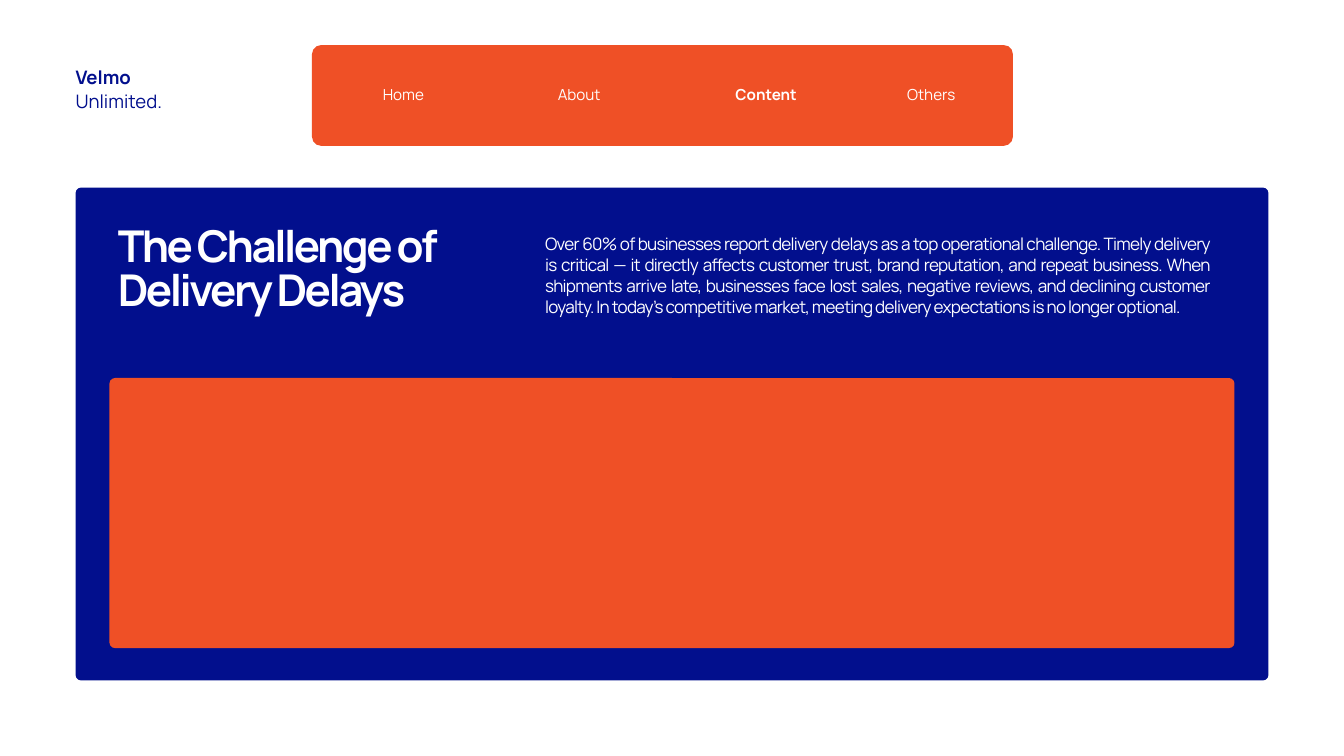
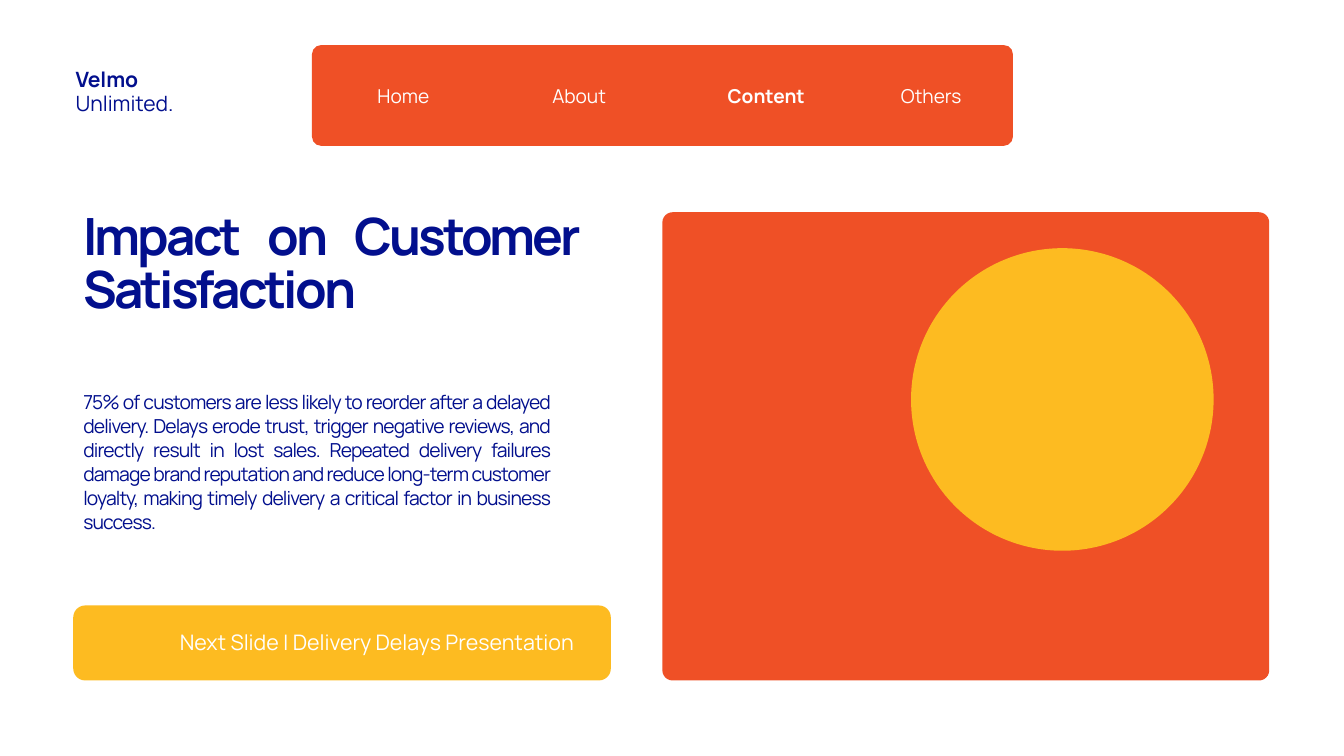
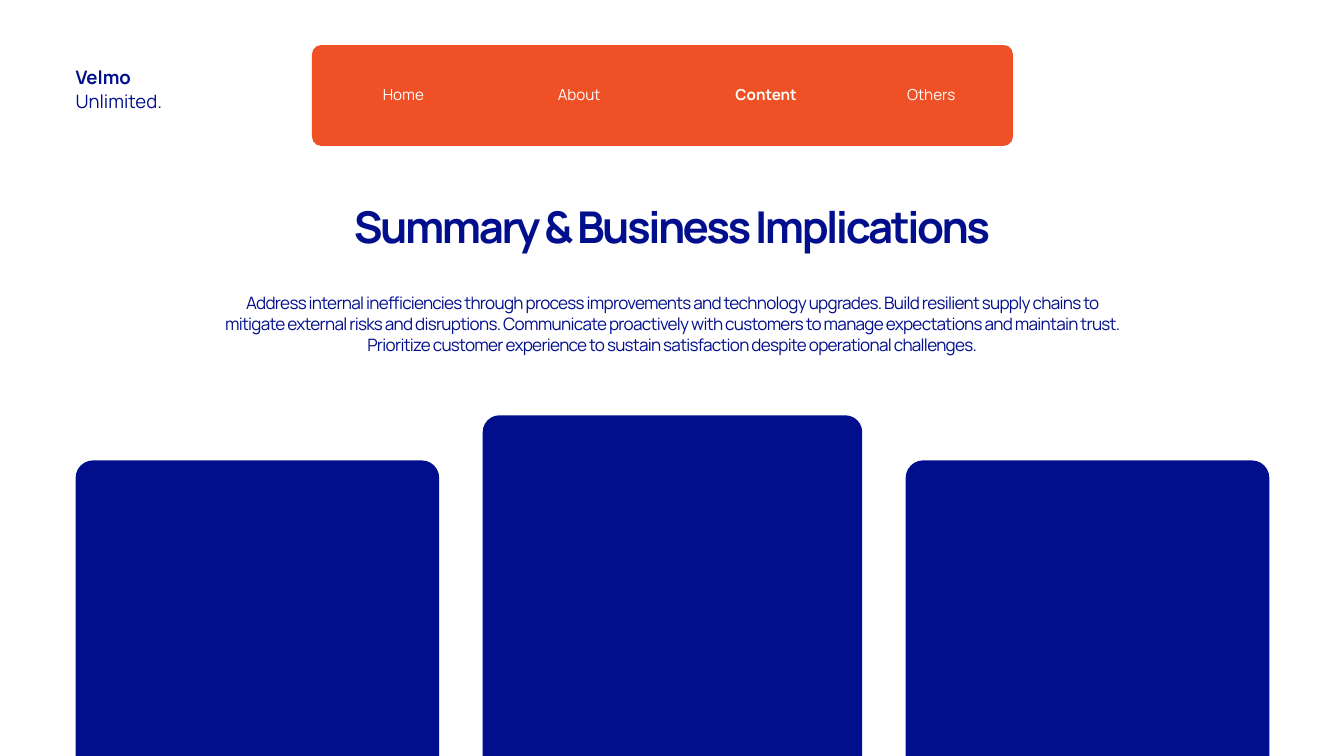
import dataclasses

import pptx
import pptx.dml.color
import pptx.enum.shapes
import pptx.enum.text
import pptx.util

Pt = pptx.util.Pt
Color = pptx.dml.color.RGBColor
Shape = pptx.enum.shapes.MSO_SHAPE
Align = pptx.enum.text.PP_ALIGN

WHITE = Color(0xFF, 0xFF, 0xFF)
NAVY = Color(0x02, 0x0F, 0x8D)
ORANGE = Color(0xEF, 0x50, 0x26)
YELLOW = Color(0xFD, 0xBB, 0x21)

FONT = "Manrope"
LABEL_LEADING = 1.4
TITLE_LEADING = 1.02
BODY_LEADING = 1.24
TIGHT = -0.058
BODY_TIGHT = -0.044
NAV_LABELS = [("Home", 32.4, 131), ("About", 211, 150.5),
              ("Content", 424, 125.3), ("Others", 576, 175)]
CURRENT_LABEL = "Content"


@dataclasses.dataclass
class Box:
    left: float
    top: float
    width: float
    height: float

    def inner(self, left, top, width, height):
        return Box(self.left + left, self.top + top, width, height)

    def lengths(self):
        return [Pt(n) for n in (self.left, self.top, self.width, self.height)]


PAGE = Box(0, 0, 1440, 810)
BRAND = Box(81, 66.8, 139, 54)
NAV = Box(334.3, 48.3, 751, 108)
SMALL_HEADER = dict(nav_size=16.3, nav_top=40, brand_size=19.9)
LARGE_HEADER = dict(nav_size=20.5, nav_top=38.5, brand_size=22.6)


def add_panel(page, box, color, radius=None):
    kind = Shape.OVAL if radius is None else Shape.ROUNDED_RECTANGLE
    panel = page.shapes.add_shape(kind, *box.lengths())
    if radius is not None:
        panel.adjustments[0] = radius / min(box.width, box.height)
    panel.shadow.inherit = False
    panel.fill.solid()
    panel.fill.fore_color.rgb = color
    panel.line.fill.background()


def add_text(page, box, words, size, color, align=Align.LEFT, bold=False,
             leading=LABEL_LEADING, tracking=0):
    frame = page.shapes.add_textbox(*box.lengths()).text_frame
    frame.word_wrap = True
    frame.auto_size = pptx.enum.text.MSO_AUTO_SIZE.SHAPE_TO_FIT_TEXT
    frame.margin_left = frame.margin_right = 0
    frame.margin_top = frame.margin_bottom = 0
    para = frame.paragraphs[0]
    para.alignment = align
    para.line_spacing = Pt(round(size * leading, 1))
    span = para.add_run()
    span.text = words
    span.font.name = FONT
    span.font.size = Pt(size)
    span.font.bold = bold
    span.font.color.rgb = color
    if tracking:
        span.font._element.set("spc", str(round(size * tracking, 1) * 100).split(".")[0])


def add_title(page, box, words, size, color, align):
    add_text(page, box, words, size, color, align, True, TITLE_LEADING, TIGHT)


def add_body(page, box, words, size, color, align):
    add_text(page, box, words, size, color, align, False, BODY_LEADING, BODY_TIGHT)


def add_nav(page, box, size, top):
    add_panel(page, box, ORANGE, 9.8)
    for label, left, width in NAV_LABELS:
        add_text(page, box.inner(left, top, width, size * LABEL_LEADING), label,
                 size, WHITE, Align.CENTER, label == CURRENT_LABEL)


def add_brand(page, box, size):
    for row, word in enumerate(("Velmo", "Unlimited.")):
        add_text(page, box.inner(0, row * 25.2, box.width, size * LABEL_LEADING),
                 word, size, NAVY, bold=row == 0)


def add_page(deck, nav_size, nav_top, brand_size):
    page = deck.slides.add_slide(deck.slide_layouts[6])
    page.background.fill.solid()
    page.background.fill.fore_color.rgb = WHITE
    add_nav(page, NAV, nav_size, nav_top)
    add_brand(page, BRAND, brand_size)
    return page


def build_challenge(page, box):
    add_panel(page, box, NAVY, 5.8)
    add_panel(page, box.inner(36.3, 204, 1205.4, 289.4), ORANGE, 6)
    add_title(page, box.inner(45.2, 41.7, 453, 100), "The Challenge of Delivery Delays",
              46.9, WHITE, Align.LEFT)
    add_body(page, box.inner(503, 48.2, 712, 113),
             "Over 60% of businesses report delivery delays as a top operational "
             "challenge. Timely delivery is critical — it directly affects customer "
             "trust, brand reputation, and repeat business. When shipments arrive "
             "late, businesses face lost sales, negative reviews, and declining "
             "customer loyalty. In today's competitive market, meeting delivery "
             "expectations is no longer optional.", 18.3, WHITE, Align.JUSTIFY)


def add_next_banner(page, box):
    add_panel(page, box, YELLOW, 12.8)
    add_text(page, box.inner(97.2, 20.9, 456.5, 32),
             "Next Slide | Delivery Delays Presentation", 22.9, WHITE, Align.CENTER)


def add_sun_panel(page, box):
    add_panel(page, box, ORANGE, 11)
    add_panel(page, box.inner(266.4, 38.5, 324.2, 324.2), YELLOW)


def build_impact(page, box):
    add_sun_panel(page, box.inner(631.2, 0, 650.2, 501.7))
    add_next_banner(page, box.inner(0, 421.3, 576, 80.4))
    add_title(page, box.inner(10.8, 1.6, 530, 118), "Impact on Customer Satisfaction",
              55, NAVY, Align.JUSTIFY)
    add_body(page, box.inner(10.8, 190.2, 500.4, 154),
             "75% of customers are less likely to reorder after a delayed delivery. "
             "Delays erode trust, trigger negative reviews, and directly result in "
             "lost sales. Repeated delivery failures damage brand reputation and "
             "reduce long-term customer loyalty, making timely delivery a critical "
             "factor in business success.", 20.7, NAVY, Align.JUSTIFY)


def add_cards(page, box):
    side_width, side_height, drop = 389.6, 352.8, 48.3
    middle_width = 406.6
    add_panel(page, box.inner((box.width - middle_width) / 2, 0, middle_width, box.height),
              NAVY, 18)
    for left in (0, box.width - side_width):
        add_panel(page, box.inner(left, drop, side_width, side_height), NAVY, 18.7)


def build_summary(page, box):
    add_cards(page, box.inner(81, 445, 1279, 460.8))
    add_title(page, box.inner(328, 222.5, 784, 52.6), "Summary & Business Implications",
              46.9, NAVY, Align.CENTER)
    add_body(page, box.inner(233.3, 312.5, 973.4, 68.4),
             "Address internal inefficiencies through process improvements and "
             "technology upgrades. Build resilient supply chains to mitigate external "
             "risks and disruptions. Communicate proactively with customers to manage "
             "expectations and maintain trust. Prioritize customer experience to "
             "sustain satisfaction despite operational challenges.",
             18.3, NAVY, Align.CENTER)


def main():
    deck = pptx.Presentation()
    deck.slide_width = Pt(PAGE.width)
    deck.slide_height = Pt(PAGE.height)
    build_challenge(add_page(deck, **SMALL_HEADER), Box(81, 201, 1278, 528))
    build_impact(add_page(deck, **LARGE_HEADER), Box(78.5, 227.4, 1281.4, 501.7))
    build_summary(add_page(deck, **SMALL_HEADER), PAGE)
    deck.save("out.pptx")


if __name__ == "__main__":
    main()
